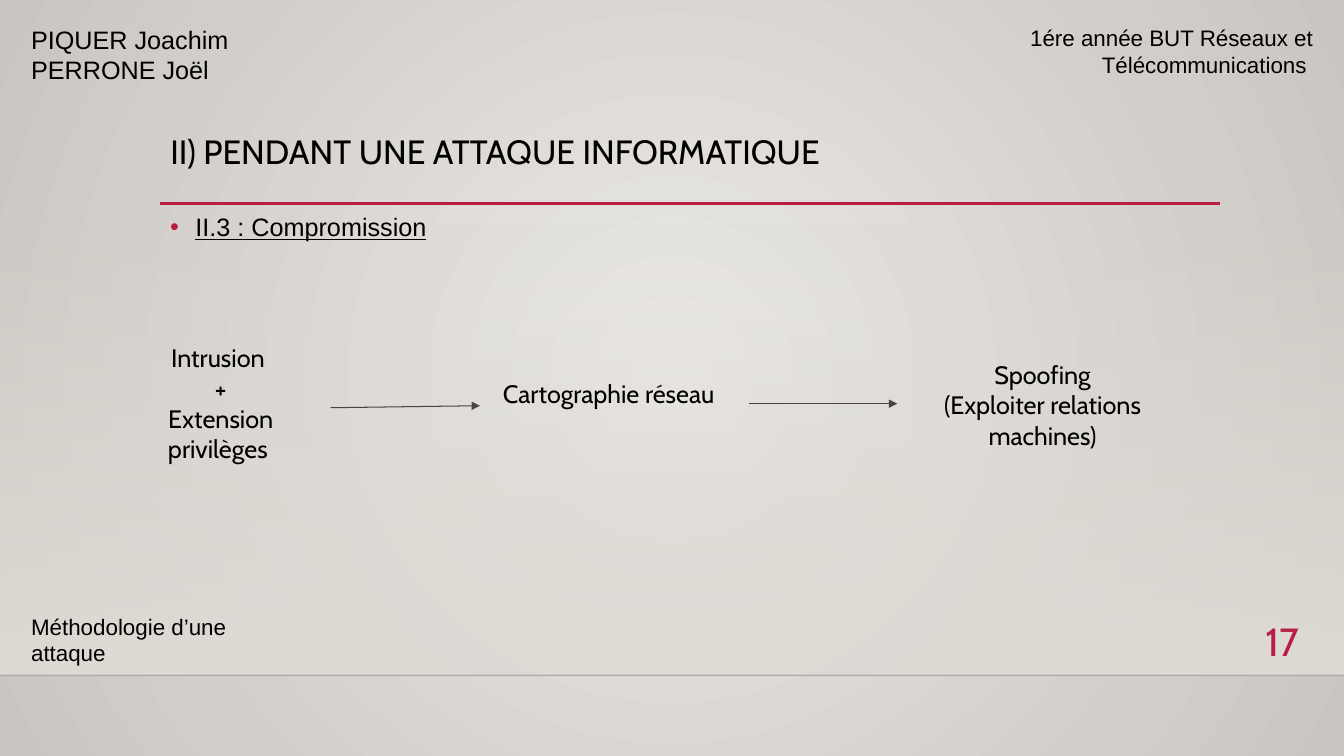
import pptx
import pptx.util
import pptx.dml.color
import pptx.enum.shapes
import pptx.enum.text
import pptx.oxml
import pptx.oxml.ns

Inches = pptx.util.Inches
Align = pptx.enum.text.PP_ALIGN
qn = pptx.oxml.ns.qn
RED = "B71E42"


def paint(color, code):
    color.rgb = pptx.dml.color.RGBColor.from_string(code)


def add_xml(parent, tag, body="", **attrs):
    node = pptx.oxml.parse_xml(
        f"<a:{tag} {pptx.oxml.ns.nsdecls('a')}>{body}</a:{tag}>")
    for name, value in attrs.items():
        node.set(name, str(value))
    parent.append(node)


def blend(fill, first, last):
    fill.gradient()
    for stop, code in zip(fill.gradient_stops, (first, last)):
        paint(stop.color, code)


def add_text(slide, box, text, size=18, font="Arial", color="000000",
             align=Align.LEFT, inset=0.05, space=None, under=None, dot=None):
    shape = slide.shapes.add_textbox(*map(Inches, box))
    frame = shape.text_frame
    frame.word_wrap = True
    frame.margin_top = frame.margin_bottom = Inches(inset)
    frame.text = text
    for para in frame.paragraphs:
        para.alignment = align
        para.line_spacing = space
        style = para.runs[0].font
        style.size = pptx.util.Pt(size)
        style.name = font
        style.underline = under
        paint(style.color, color)
        if dot:
            props = para._p.get_or_add_pPr()
            props.set("marL", str(Inches(0.25)))
            props.set("indent", str(-Inches(0.25)))
            add_xml(props, "buClr", f'<a:srgbClr val="{dot}"/>')
            add_xml(props, "buFont", typeface="Arial")
            add_xml(props, "buChar", char="•")
    return shape


def add_line(slide, start, end, color, width):
    line = slide.shapes.add_connector(
        pptx.enum.shapes.MSO_CONNECTOR.STRAIGHT, *map(Inches, start + end))
    paint(line.line.color, color)
    line.line.width = pptx.util.Pt(width)
    add_xml(line._element.spPr, "effectLst")
    return line


def add_arrow(slide, start, end):
    arrow = add_line(slide, start, end, "454545", 0.75)
    add_xml(arrow.line._get_or_add_ln(), "tailEnd", type="triangle")
    return arrow


def add_back(slide, box):
    blend(slide.background.fill, "EBE9E6", "C9C5C0")
    grad = next(slide._element.iter(qn("a:gradFill")))
    grad.remove(grad.find(qn("a:lin")))
    add_xml(grad, "path", '<a:fillToRect l="50000" t="50000" r="50000" b="50000"/>',
            path="circle")
    left, top, width, height = box
    floor = slide.shapes.add_shape(
        pptx.enum.shapes.MSO_SHAPE.RECTANGLE, *map(Inches, box))
    floor.shadow.inherit = False
    floor.line.fill.background()
    blend(floor.fill, "DFDBD5", "DFDBD5")
    floor.fill.gradient_angle = 270
    add_xml(next(floor._element.iter(qn("a:srgbClr"))), "alpha", val=0)
    base = top + height
    edge = add_line(slide, (left, base), (left + width, base), "000001", 1)
    add_xml(next(edge._element.iter(qn("a:srgbClr"))), "alpha", val=20000)


def add_head(slide, box):
    left, top, width, height = box
    rule = top + 0.73
    add_line(slide, (left, rule), (left + width, rule), RED, 2.5)
    add_text(slide, (left, top, width, 0.7), "II) PENDANT UNE ATTAQUE INFORMATIQUE",
             size=24, font="Cabin", space=0.9)
    add_text(slide, (left, top + 0.7, 4.4, 0.55), "II.3 : Compromission",
             space=1.2, under=True, dot=RED)


def add_frame(slide, box):
    left, top, width, height = box
    right, base = left + width, top + height
    add_text(slide, (left, top, 3.95, 0.71), "PIQUER Joachim\nPERRONE Joël")
    add_text(slide, (right - 4.89, top, 4.89, 0.64),
             "1ére année BUT Réseaux et Télécommunications ", size=16, align=Align.RIGHT)
    add_text(slide, (left, base - 0.64, 2.52, 0.64), "Méthodologie d’une attaque", size=16)
    add_text(slide, (right - 1.03, base - 0.6, 0.89, 0.55), "17",
             size=28, font="Cabin", color=RED, align=Align.RIGHT)


def add_flow(slide, box):
    left, top, width, height = box
    right, mid = left + width, top + height / 2
    steps = (
        (left, 2.06, height, "Intrusion \n+\nExtension privilèges "),
        (left + 3.54, 2.73, 0.7, "Cartographie réseau "),
        (right - 2.88, 2.88, 1.08, "Spoofing\n(Exploiter relations machines)"),
    )
    scan, spoof = [
        add_text(slide, (x, mid - tall / 2, wide, tall), text,
                 font="Cabin", align=Align.CENTER, inset=0.1)
        for x, wide, tall, text in steps][1:]
    add_arrow(slide, (left + 2.12, mid + 0.04), (left + 3.6, mid + 0.02))
    arrow = add_arrow(slide, (left + 6.28, mid + 0.02), (right - 2.88, mid))
    arrow.begin_connect(scan, 3)
    arrow.end_connect(spoof, 1)


def main():
    deck = pptx.Presentation()
    deck.slide_width = Inches(13.33)
    deck.slide_height = Inches(7.5)
    slide = deck.slides.add_slide(deck.slide_layouts[6])
    add_back(slide, (0, 2.21, 13.33, 4.49))
    add_head(slide, (1.59, 1.29, 10.51, 1.25))
    add_frame(slide, (0.21, 0.19, 12.91, 6.48))
    add_flow(slide, (1.16, 3.3, 10.62, 1.41))
    deck.save("out.pptx")


if __name__ == "__main__":
    main()
